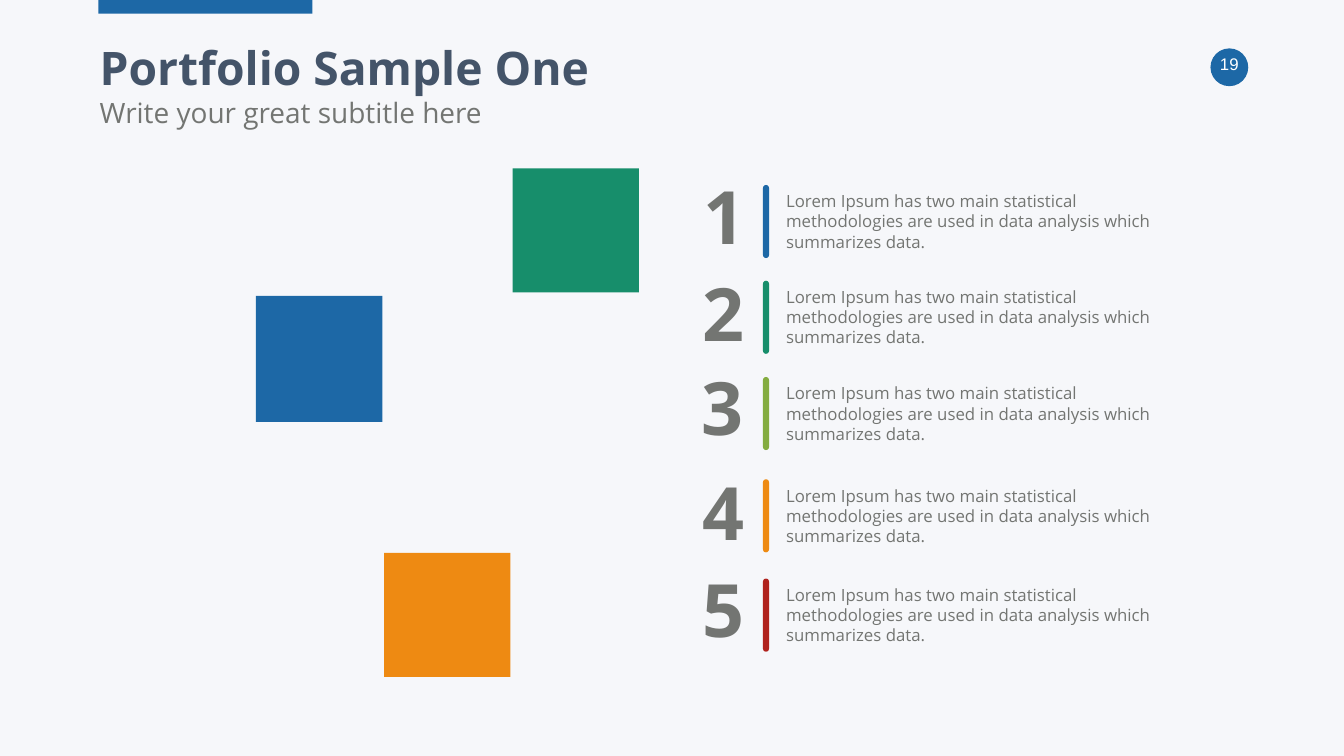
from pptx import Presentation
from pptx.dml.color import RGBColor
from pptx.enum.shapes import MSO_SHAPE
from pptx.enum.text import MSO_ANCHOR, MSO_AUTO_SIZE, PP_ALIGN
from pptx.util import Emu, Pt

EMU_PER_PX = 9144
BACKGROUND = RGBColor(0xF6, 0xF7, 0xFA)
WHITE = RGBColor(0xFF, 0xFF, 0xFF)
NAVY = RGBColor(0x44, 0x54, 0x69)
GREY = RGBColor(0x73, 0x75, 0x72)
BLUE = RGBColor(0x1D, 0x68, 0xA6)
TEAL = RGBColor(0x17, 0x8E, 0x6B)
GREEN = RGBColor(0x84, 0xAC, 0x40)
ORANGE = RGBColor(0xEE, 0x8A, 0x12)
RED = RGBColor(0xB0, 0x22, 0x1D)

DESCRIPTION = (
    "Lorem Ipsum has two main statistical methodologies are used "
    "in data analysis which summarizes data."
)
ITEMS = [
    (BLUE, 367, 1376, 328),
    (TEAL, 557, 1374, 520),
    (GREEN, 748, 1373, 707),
    (ORANGE, 951, 1375, 915),
    (RED, 1148, 1375, 1109),
]
TILES = [
    (508, 587, 250, BLUE),
    (762, 1097, 246, ORANGE),
    (1017, 334, 246, TEAL),
]


def px(value):
    return Emu(value * EMU_PER_PX)


def add_block(page, kind, left, top, width, height, color):
    block = page.shapes.add_shape(kind, px(left), px(top), px(width), px(height))
    block.shadow.inherit = False
    block.fill.solid()
    block.fill.fore_color.rgb = color
    block.line.fill.background()
    return block


def add_text(page, text, left, top, width, height, *, size, color=GREY,
             font="Open Sans", bold=False, align=PP_ALIGN.LEFT,
             anchor=MSO_ANCHOR.TOP, inset=(10, 5), wrap=True, grow=False,
             spacing=None):
    box = page.shapes.add_textbox(px(left), px(top), px(width), px(height))
    frame = box.text_frame
    frame.word_wrap = wrap
    frame.auto_size = MSO_AUTO_SIZE.SHAPE_TO_FIT_TEXT if grow else MSO_AUTO_SIZE.NONE
    frame.vertical_anchor = anchor
    frame.margin_left = frame.margin_right = px(inset[0])
    frame.margin_top = frame.margin_bottom = px(inset[1])
    para = frame.paragraphs[0]
    para.alignment = align
    if spacing:
        para.line_spacing = spacing
    span = para.add_run()
    span.text = text
    span.font.name = font
    span.font.size = Pt(size)
    span.font.bold = bold
    span.font.color.rgb = color


def add_header(page):
    add_block(page, MSO_SHAPE.OVAL, 2402, 96, 75, 75, BLUE)
    add_text(page, "19", 2381, 102, 117, 80, size=24, color=WHITE,
             font="Arial", align=PP_ALIGN.CENTER)
    add_block(page, MSO_SHAPE.RECTANGLE, 195, 0, 425, 27, BLUE)
    add_text(page, "Portfolio Sample One", 188, 74, 2290, 124,
             size=66, color=NAVY, bold=True)
    add_text(page, "Write your great subtitle here", 188, 184, 2290, 93, size=40)


def add_item(page, number, color, top, number_left, number_top):
    add_text(page, DESCRIPTION, 1536, top, 790, 145, size=24,
             inset=(24, 12), grow=True, spacing=Pt(28.8))
    bar = add_block(page, MSO_SHAPE.ROUND_2_SAME_RECTANGLE, 1514, top, 12, 145, color)
    bar.adjustments[0] = 0.5
    bar.adjustments[1] = 0.5
    add_text(page, str(number), number_left, number_top, 126, 197, size=105,
             bold=True, anchor=MSO_ANCHOR.MIDDLE, inset=(20, 10),
             wrap=False, grow=True)


def main():
    deck = Presentation()
    deck.slide_width = px(2667)
    deck.slide_height = px(1500)
    page = deck.slides.add_slide(deck.slide_layouts[6])
    page.background.fill.solid()
    page.background.fill.fore_color.rgb = BACKGROUND
    add_header(page)
    for number, item in enumerate(ITEMS, start=1):
        add_item(page, number, *item)
    for left, top, height, color in TILES:
        add_block(page, MSO_SHAPE.RECTANGLE, left, top, 251, height, color)
    deck.save("out.pptx")


if __name__ == "__main__":
    main()
